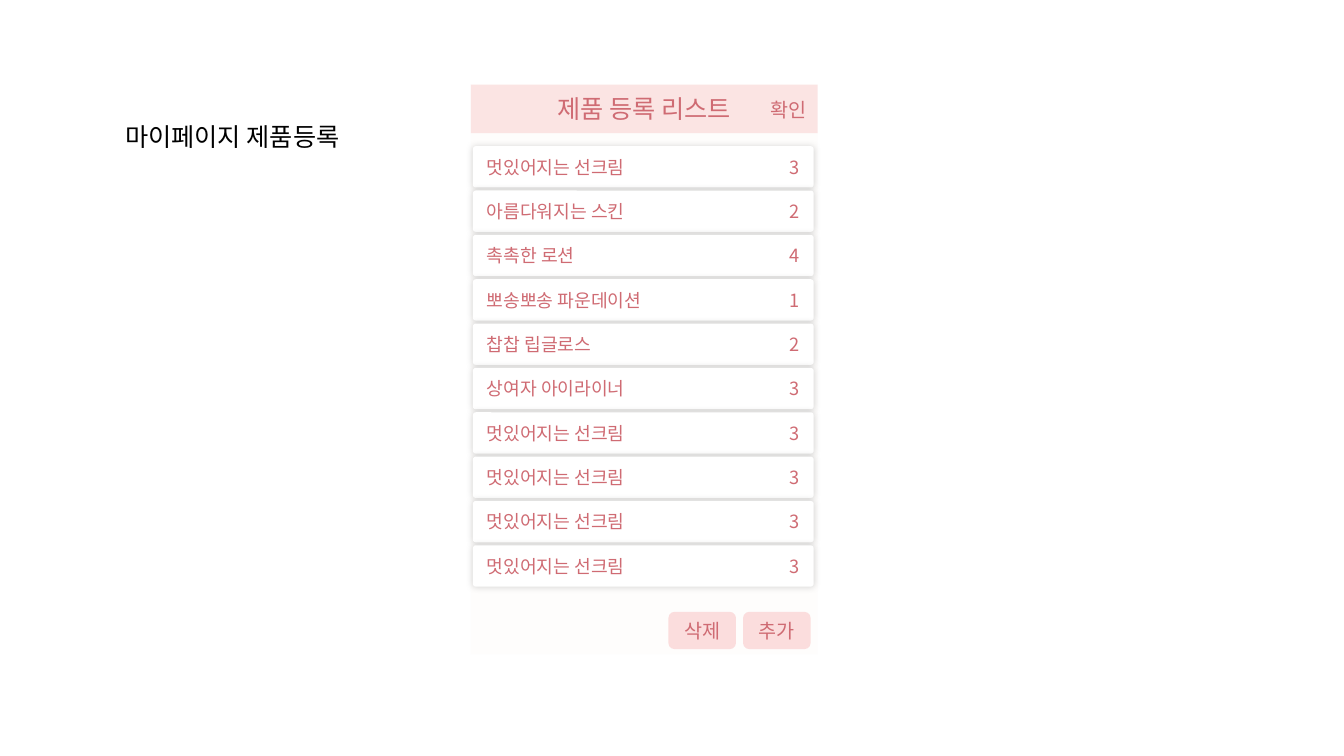
from dataclasses import dataclass

from lxml.etree import SubElement
from pptx import Presentation
from pptx.dml.color import RGBColor
from pptx.enum.shapes import MSO_SHAPE
from pptx.enum.text import MSO_ANCHOR, PP_ALIGN
from pptx.oxml.ns import qn
from pptx.util import Inches, Pt


@dataclass(frozen=True)
class Theme:
    font: str = "Noto Sans CJK KR"
    black: str = "000000"
    rose: str = "CF6B73"
    head: str = "F9CCCC"
    pill: str = "FBDDDD"
    panel: str = "FEFDFC"
    white: str = "FFFFFF"
    big: int = 18
    mid: int = 14
    small: int = 13


theme = Theme()


def write(shape, text, size, color=theme.rose, align=PP_ALIGN.CENTER):
    para = shape.text_frame.paragraphs[0]
    para.text = text
    para.alignment = align
    font = para.font
    font.size = Pt(size)
    font.bold = False
    font.name = theme.font
    font.color.rgb = RGBColor.from_string(color)
    SubElement(font._element, qn("a:ea"), typeface=theme.font)


def block(kind, box, color):
    shape = phone.shapes.add_shape(kind, *map(Inches, box))
    shape.shadow.inherit = False
    shape.fill.solid()
    shape.fill.fore_color.rgb = RGBColor.from_string(color)
    shape.line.fill.background()
    shape.text_frame.vertical_anchor = MSO_ANCHOR.MIDDLE
    return shape


deck = Presentation()
deck.slide_width, deck.slide_height = Inches(13.33), Inches(7.5)
slide = deck.slides.add_slide(deck.slide_layouts[5])

# Slide title
title = slide.shapes.title
title.left, title.top = Inches(1.14), Inches(1.15)
title.width, title.height = Inches(2.96), Inches(0.71)
title.text_frame.vertical_anchor = MSO_ANCHOR.TOP
write(title, "마이페이지 제품등록", theme.big, theme.black, PP_ALIGN.LEFT)

# Phone screen and header
phone = slide.shapes.add_group_shape()
block(MSO_SHAPE.RECTANGLE, (4.67, 0.84, 3.44, 5.65), theme.panel)
head = block(MSO_SHAPE.RECTANGLE, (4.67, 0.84, 3.44, 0.48), theme.head)
tint = head.fill._xPr.find(qn("a:solidFill"))[0]
SubElement(tint, qn("a:alpha"), val="50000")
write(head, "제품 등록 리스트", theme.big)

done = phone.shapes.add_textbox(Inches(7.54), Inches(0.92), Inches(0.57), Inches(0.34))
write(done, "확인", theme.mid, align=PP_ALIGN.LEFT)

# Buttons
for left, label in ((7.37, "추가"), (6.63, "삭제")):
    pill = block(MSO_SHAPE.ROUNDED_RECTANGLE, (left, 6.07, 0.67, 0.37), theme.pill)
    write(pill, label, theme.mid)

# Product rows: name on the left, count at a right tab
goods = [
    ("멋있어지는 선크림", 3),
    ("아름다워지는 스킨", 2),
    ("촉촉한 로션", 4),
    ("뽀송뽀송 파운데이션", 1),
    ("찹찹 립글로스", 2),
    ("상여자 아이라이너", 3),
] + [("멋있어지는 선크림", 3)] * 4

for i, (name, count) in enumerate(goods):
    row = block(MSO_SHAPE.ROUNDED_RECTANGLE, (4.69, 1.45 + 0.44 * i, 3.38, 0.41), theme.white)
    row.adjustments[0] = 0.07
    row.text_frame.margin_left = Inches(0.13)

    glow = SubElement(row._element.spPr.find(qn("a:effectLst")), qn("a:outerShdw"),
                      blurRad=str(Pt(5)), dist="0", dir="0", algn="ctr", rotWithShape="0")
    shade = SubElement(glow, qn("a:srgbClr"), val=theme.black)
    SubElement(shade, qn("a:alpha"), val="16000")

    props = row.text_frame.paragraphs[0]._p.get_or_add_pPr()
    tabs = SubElement(props, qn("a:tabLst"))
    SubElement(tabs, qn("a:tab"), pos=str(Inches(3.1)), algn="r")
    write(row, f"{name}\t{count}", theme.small, align=PP_ALIGN.LEFT)

deck.save("out.pptx")
